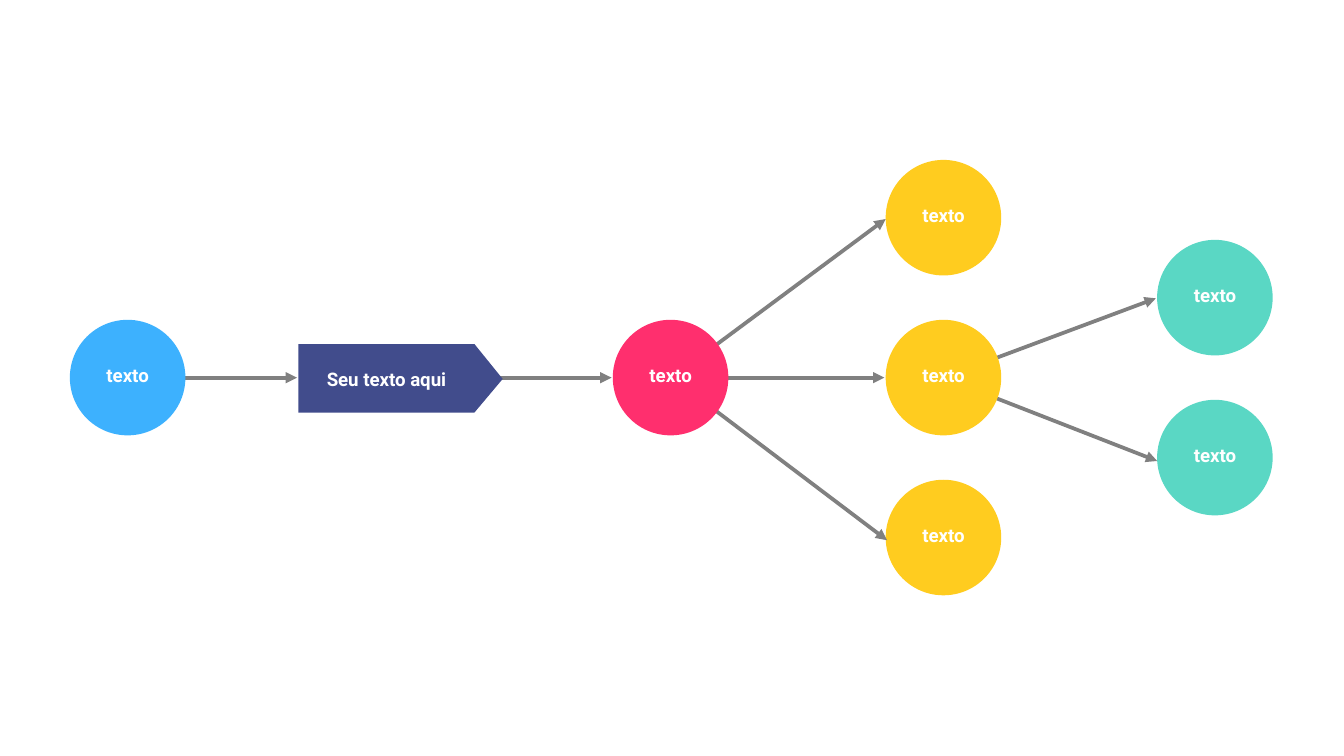
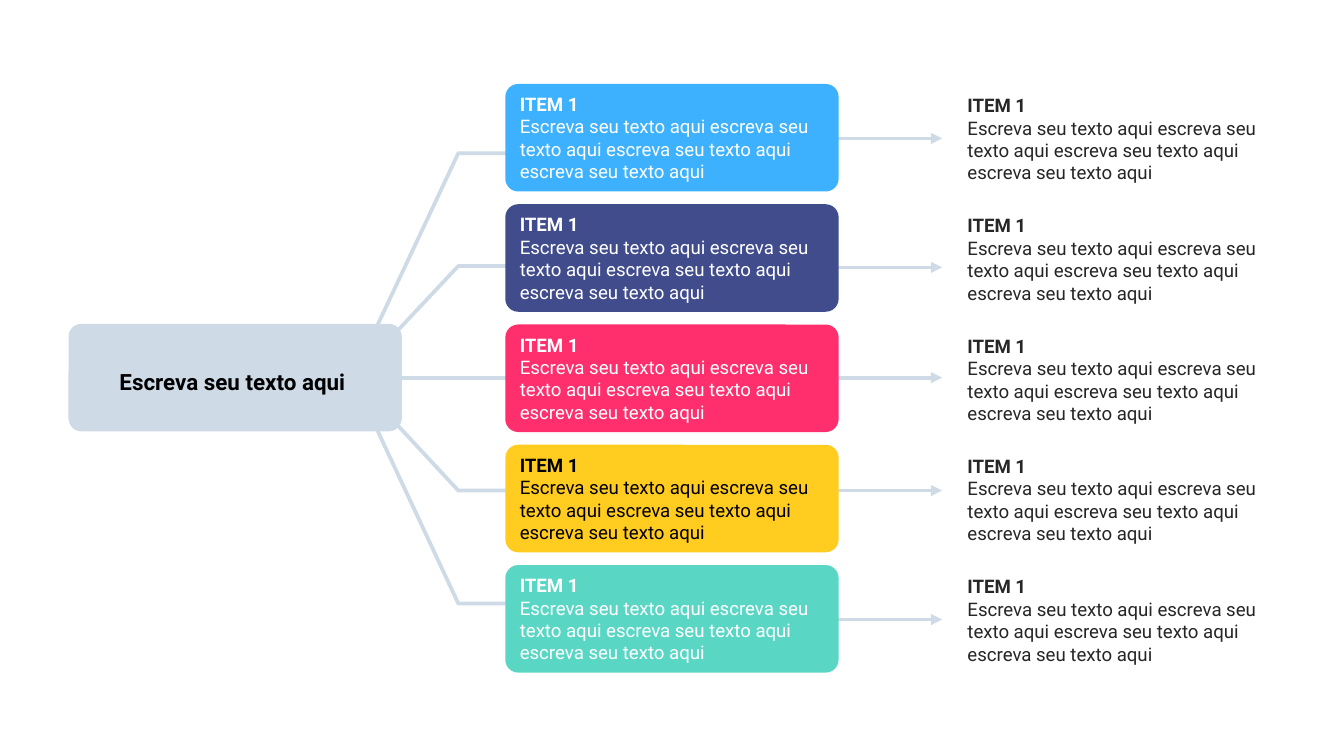
"""Build two flow slides: a chain of circles and a fork of items."""
from dataclasses import dataclass

from lxml import etree
from pptx import Presentation
from pptx.dml.color import RGBColor
from pptx.enum.shapes import MSO_CONNECTOR, MSO_SHAPE
from pptx.enum.text import MSO_ANCHOR, MSO_AUTO_SIZE, PP_ALIGN
from pptx.oxml.ns import qn
from pptx.shapes.base import BaseShape
from pptx.slide import Slide
from pptx.text.text import TextFrame
from pptx.util import Pt

PX = 4572
WIDE, HIGH = 2000, 1125
FONT = "Roboto"

WHITE = RGBColor(0xFF, 0xFF, 0xFF)
BLACK = RGBColor(0x00, 0x00, 0x00)
INK = RGBColor(0x26, 0x26, 0x26)
GRAY = RGBColor(0x80, 0x80, 0x80)
PALE = RGBColor(0xCE, 0xDB, 0xE6)
BLUE = RGBColor(0x3D, 0xB1, 0xFE)
NAVY = RGBColor(0x41, 0x4C, 0x8C)
PINK = RGBColor(0xFF, 0x2F, 0x6E)
GOLD = RGBColor(0xFF, 0xCC, 0x1F)
TEAL = RGBColor(0x5A, 0xD7, 0xC4)

OVAL = MSO_SHAPE.OVAL
ROUND = MSO_SHAPE.ROUNDED_RECTANGLE
LINE = MSO_CONNECTOR.STRAIGHT
LEFT, CENTER = PP_ALIGN.LEFT, PP_ALIGN.CENTER
MIDDLE = MSO_ANCHOR.MIDDLE
GROW = MSO_AUTO_SIZE.SHAPE_TO_FIT_TEXT

Point = tuple[int, int]
Box = tuple[int, int, int, int]


@dataclass(frozen=True)
class Node:
    x: int
    y: int
    fill: RGBColor


@dataclass(frozen=True)
class Item:
    fill: RGBColor
    ink: RGBColor
    bend: int
    arrow: int


MID = 562
DISC = 172
ROW, STEP = 476, 238
FAR = (
    Node(1318, ROW - STEP, GOLD),
    Node(1318, ROW + STEP, GOLD),
    Node(1722, ROW - STEP // 2, TEAL),
    Node(1722, ROW + STEP // 2, TEAL),
)
NEAR = (Node(912, ROW, PINK), Node(1318, ROW, GOLD), Node(104, ROW, BLUE))
ARROWS = (
    ((272, MID), (442, MID)),
    ((740, MID), (910, MID)),
    ((1000, MID), (1318, 326)),
    ((1000, MID), (1320, 804)),
    ((1024, MID), (1316, MID)),
    ((1404, MID), (1720, 444)),
    ((1404, MID), (1722, 686)),
)
TAG = ((444, 512), (706, 512), (748, 564), (706, 614), (444, 614))

ITEMS = (
    Item(BLUE, WHITE, 228, 206),
    Item(NAVY, WHITE, 396, 398),
    Item(PINK, WHITE, MID, MID),
    Item(GOLD, BLACK, 730, 730),
    Item(TEAL, WHITE, 898, 922),
)
CARD_W, CARD_H = 496, 160
TOP, PITCH = 125, 179
HEAD = "ITEM 1"
BODY = " ".join(["Escreva seu texto aqui"] + ["escreva seu texto aqui"] * 3)


def scale(*nums: int) -> list[int]:
    return [num * PX for num in nums]


def paint(shape: BaseShape, fill: RGBColor) -> None:
    shape.shadow.inherit = False
    shape.fill.solid()
    shape.fill.fore_color.rgb = fill
    shape.line.fill.background()


def write(frame: TextFrame, lines: tuple[str, ...], ink: RGBColor,
          size: int = 10, align: PP_ALIGN = LEFT) -> None:
    frame.word_wrap = True
    for i, text in enumerate(lines):
        para = frame.paragraphs[0] if i == 0 else frame.add_paragraph()
        para.text = text
        para.alignment = align
        para.font.name = FONT
        para.font.size = Pt(size)
        para.font.bold = i == 0
        para.font.color.rgb = ink


def pad(frame: TextFrame, left: int, top: int, right: int, base: int) -> None:
    (frame.margin_left, frame.margin_top,
     frame.margin_right, frame.margin_bottom) = scale(left, top, right, base)


def label(slide: Slide, box: Box, text: str) -> None:
    frame = slide.shapes.add_textbox(*scale(*box)).text_frame
    pad(frame, 4, 4, 4, 4)
    write(frame, (text,), WHITE, align=CENTER)
    frame.auto_size = GROW


def link(slide: Slide, start: Point, end: Point, color: RGBColor,
         tip: bool = True) -> None:
    line = slide.shapes.add_connector(LINE, *scale(*start, *end))
    line.line.color.rgb = color
    line.line.width = Pt(2)
    if tip:
        etree.SubElement(line.line._get_or_add_ln(), qn("a:tailEnd"),
                         type="triangle")
    etree.SubElement(line._element.spPr, qn("a:effectLst"))


def trace(slide: Slide, points: tuple[Point, ...], close: bool) -> BaseShape:
    pen = slide.shapes.build_freeform(*points[0], scale=PX)
    pen.add_line_segments(points[1:], close=close)
    return pen.convert_to_shape()


def disc(slide: Slide, node: Node) -> None:
    paint(slide.shapes.add_shape(OVAL, *scale(node.x, node.y, DISC, DISC)),
          node.fill)
    label(slide, (node.x + 6, node.y + 62, DISC - 12, 42), "texto")


def card(slide: Slide, x: int, y: int, fill: RGBColor) -> BaseShape:
    shape = slide.shapes.add_shape(ROUND, *scale(x, y, CARD_W, CARD_H))
    shape.adjustments[0] = 0.12
    paint(shape, fill)
    return shape


def branch(slide: Slide, bend: int) -> None:
    if bend == MID:
        link(slide, (522, MID), (754, MID), PALE, tip=False)
        return
    root = MID + (2 if bend < MID else -2)
    shape = trace(slide, ((524, root), (682, bend), (754, bend)), False)
    shape.shadow.inherit = False
    shape.fill.background()
    shape.line.color.rgb = PALE
    shape.line.width = Pt(2)


def chain(slide: Slide) -> None:
    for node in FAR:
        disc(slide, node)
    for start, end in ARROWS:
        link(slide, start, end, GRAY)
    for node in NEAR:
        disc(slide, node)
    paint(trace(slide, TAG, True), NAVY)
    label(slide, (444, 544, 262, 42), "Seu texto aqui")


def fork(slide: Slide) -> None:
    for item in ITEMS:
        link(slide, (1241, item.arrow), (1402, item.arrow), PALE)
        branch(slide, item.bend)
    card(slide, 102, 482, PALE)
    hub = slide.shapes.add_textbox(*scale(132, 538, 428, 60)).text_frame
    write(hub, ("Escreva seu texto aqui",), BLACK, 12, CENTER)
    hub.auto_size = GROW
    for i, item in enumerate(ITEMS):
        y = TOP + i * PITCH
        frame = card(slide, 752, y, item.fill).text_frame
        frame.vertical_anchor = MIDDLE
        pad(frame, 16, 0, 8, 0)
        write(frame, (HEAD, BODY), item.ink)
        note = slide.shapes.add_textbox(*scale(1420, y + 5, CARD_W, 154))
        write(note.text_frame, (HEAD, BODY), INK)
        note.text_frame.auto_size = GROW


def main() -> None:
    deck = Presentation()
    deck.slide_width, deck.slide_height = scale(WIDE, HIGH)
    blank = deck.slide_layouts[6]
    for draw in (chain, fork):
        draw(deck.slides.add_slide(blank))
    deck.save("out.pptx")


if __name__ == "__main__":
    main()
